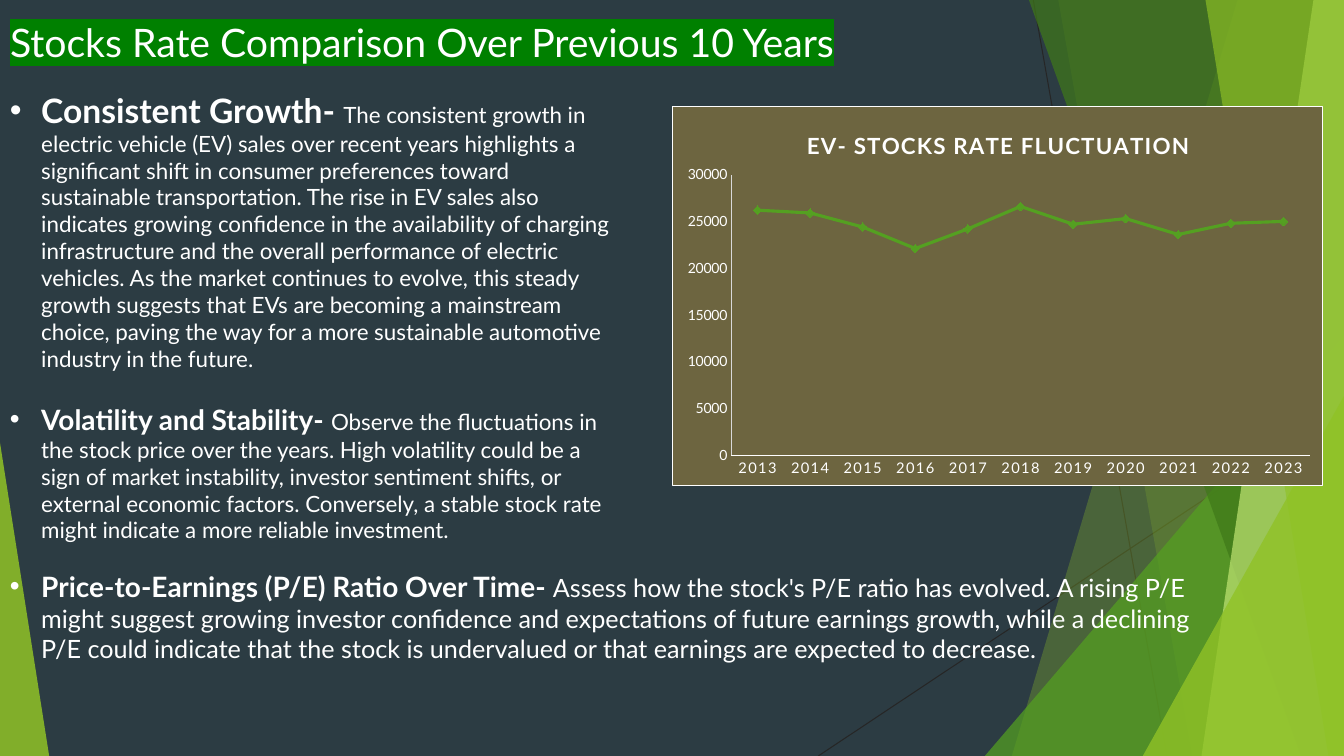
"""Build the slide on electric vehicle stock rates."""
import pptx
import pptx.chart.data
import pptx.dml.color
import pptx.enum.chart
import pptx.enum.shapes
import pptx.enum.text
import pptx.oxml
import pptx.oxml.ns
import pptx.util

Cm, Pt = pptx.util.Cm, pptx.util.Pt
RGB = pptx.dml.color.RGBColor
WHITE = RGB(0xFF, 0xFF, 0xFF)
NIGHT = RGB(0x2C, 0x3C, 0x43)
INK = RGB(0x26, 0x26, 0x26)
LIME = RGB(0x90, 0xC2, 0x26)
GREEN = RGB(0x54, 0xA0, 0x21)
FOREST = RGB(0x3F, 0x78, 0x19)
PALE = RGB(0xC0, 0xE4, 0x74)
BROWN = RGB(0x6D, 0x65, 0x40)
GREY = RGB(0xD9, 0xD9, 0xD9)
MARK = RGB(0x00, 0x80, 0x00)
WIDE, HIGH = 33.87, 19.05
NAMES = pptx.oxml.ns.nsdecls("a", "c")

GROWTH = (
    "The consistent growth in electric vehicle (EV) sales over recent years highlights a "
    "significant shift in consumer preferences toward sustainable transportation. The rise in "
    "EV sales also indicates growing confidence in the availability of charging infrastructure "
    "and the overall performance of electric vehicles. As the market continues to evolve, this "
    "steady growth suggests that EVs are becoming a mainstream choice, paving the way for a more "
    "sustainable automotive industry in the future.")
SWINGS = (
    "Observe the fluctuations in the stock price over the years. High volatility could be a sign "
    "of market instability, investor sentiment shifts, or external economic factors. Conversely, "
    "a stable stock rate might indicate a more reliable investment.")
RATIO = (
    "Assess how the stock's P/E ratio has evolved. A rising P/E might suggest growing investor "
    "confidence and expectations of future earnings growth, while a declining P/E could indicate "
    "that the stock is undervalued or that earnings are expected to decrease.")
RATES = (26200, 25900, 24400, 22100, 24200, 26600, 24700, 25300, 23600, 24800, 25000)


def node(tag, attrs="", body=""):
    """Make an XML element."""
    return pptx.oxml.parse_xml(f"<{tag} {NAMES} {attrs}>{body}</{tag}>")


def apply(item, **values):
    """Set each named attribute on an item."""
    for name, value in values.items():
        setattr(item, name, value)


def place(parent, index, **parts):
    """Give a chart part a fixed place, in shares of the chart."""
    for old in parent.findall(pptx.oxml.ns.qn("c:layout")):
        parent.remove(old)
    body = '<c:layoutTarget val="inner"/>' if "w" in parts else ""
    body += '<c:xMode val="edge"/><c:yMode val="edge"/>'
    body += "".join(f'<c:{k} val="{v}"/>' for k, v in parts.items())
    parent.insert(index, node("c:layout", "", f"<c:manualLayout>{body}</c:manualLayout>"))


class Deck:
    """Hold the style and the current slide."""

    def __init__(self, face):
        """Open a blank title-only slide."""
        self.face = face
        self.show = pptx.Presentation()
        apply(self.show, slide_width=Cm(WIDE), slide_height=Cm(HIGH))
        self.slide = self.show.slides.add_slide(self.show.slide_layouts[5])
        self.slide.background.fill.solid()
        self.slide.background.fill.fore_color.rgb = NIGHT
        self.shapes = self.slide.shapes

    def style(self, font, size, bold=False):
        """Format a font in the deck's face."""
        font.color.rgb = WHITE
        apply(font, name=self.face, size=Pt(size), bold=bold)

    def line(self, x1, y1, x2, y2):
        """Draw a thin straight line."""
        kind = pptx.enum.shapes.MSO_CONNECTOR.STRAIGHT
        line = self.shapes.add_connector(kind, Cm(x1), Cm(y1), Cm(x2), Cm(y2))
        line.line.color.rgb = INK
        line.line.width = Pt(0.75)
        line._element.spPr.append(node("a:effectLst"))

    def paint(self, shape, color, alpha):
        """Fill a shape with a see-through colour and no outline."""
        shape.shadow.inherit = False
        shape.line.fill.background()
        shape.fill.solid()
        shape.fill.fore_color.rgb = color
        tint = shape._element.spPr.find(".//" + pptx.oxml.ns.qn("a:srgbClr"))
        tint.append(node("a:alpha", f'val="{alpha * 1000}"'))

    def band(self, top, foot, color, alpha):
        """Draw a slanted band that reaches the right edge."""
        pen = self.shapes.build_freeform(Cm(top), 0)
        spots = ((WIDE, 0), (WIDE, HIGH), (foot, HIGH))
        pen.add_line_segments([(Cm(x), Cm(y)) for x, y in spots])
        self.paint(pen.convert_to_shape(), color, alpha)

    def wedge(self, left, top, width, peak, color, alpha):
        """Draw a triangle that stands on the bottom edge."""
        kind = pptx.enum.shapes.MSO_SHAPE.ISOSCELES_TRIANGLE
        shape = self.shapes.add_shape(kind, Cm(left), Cm(top), Cm(width), Cm(HIGH - top))
        shape.adjustments[0] = peak
        self.paint(shape, color, alpha)

    def title(self, text, left, top, width, height):
        """Place the highlighted title."""
        head = self.shapes.title
        apply(head, left=Cm(left), top=Cm(top), width=Cm(width), height=Cm(height))
        apply(head.text_frame, word_wrap=True, auto_size=pptx.enum.text.MSO_AUTO_SIZE.NONE,
              vertical_anchor=pptx.enum.text.MSO_ANCHOR.TOP)
        para = head.text_frame.paragraphs[0]
        para.alignment = pptx.enum.text.PP_ALIGN.LEFT
        run = para.add_run()
        run.text = text
        self.style(run.font, 28)
        fill = run._r.rPr.find(pptx.oxml.ns.qn("a:solidFill"))
        fill.addnext(node("a:highlight", "", f'<a:srgbClr val="{MARK}"/>'))

    def points(self, left, top, width, height, items):
        """Write bulleted points, each with a bold lead."""
        box = self.shapes.add_textbox(Cm(left), Cm(top), Cm(width), Cm(height))
        frame = box.text_frame
        apply(frame, word_wrap=True, auto_size=pptx.enum.text.MSO_AUTO_SIZE.SHAPE_TO_FIT_TEXT)
        for i, (lead, big, text, size) in enumerate(items):
            para = frame.add_paragraph() if i else frame.paragraphs[0]
            para.space_before = Pt(22 if i else 0)
            props = para._p.get_or_add_pPr()
            for name, value in {"marL": Cm(0.79), "indent": -Cm(0.79)}.items():
                props.set(name, str(value))
            props.append(node("a:buFont", 'typeface="Arial"'))
            props.append(node("a:buChar", 'char="•"'))
            for words, points, bold in ((lead + " ", big, True), (text, size, False)):
                run = para.add_run()
                run.text = words
                self.style(run.font, points, bold)

    def chart(self, left, top, width, height, title, years, rates):
        """Plot the yearly rates as a marked line."""
        enum = pptx.enum.chart
        data = pptx.chart.data.CategoryChartData()
        data.categories = [str(year) for year in years]
        data.add_series("Series 1", rates)
        chart = self.shapes.add_chart(enum.XL_CHART_TYPE.LINE_MARKERS, Cm(left), Cm(top),
                                      Cm(width), Cm(height), data).chart
        apply(chart, has_legend=False, has_title=True)
        self.style(chart.font, 10)
        run = chart.chart_title.text_frame.paragraphs[0].add_run()
        run.text = title
        self.style(run.font, 16, True)
        run._r.rPr.set("spc", "100")
        for axis, size, color in ((chart.category_axis, 10.5, WHITE),
                                  (chart.value_axis, 10, GREY)):
            apply(axis, has_major_gridlines=False, major_tick_mark=enum.XL_TICK_MARK.NONE,
                  minor_tick_mark=enum.XL_TICK_MARK.NONE)
            self.style(axis.tick_labels.font, size)
            axis.format.line.color.rgb = color
            axis.format.line.width = Pt(0.75)
        for font in chart.category_axis._element.iter(pptx.oxml.ns.qn("a:defRPr")):
            font.set("spc", "100")
        apply(chart.value_axis, minimum_scale=0, maximum_scale=30000, major_unit=5000)
        plot = chart.plots[0]
        plot.vary_by_categories = False
        line = plot.series[0]
        line.smooth = False
        line.format.line.color.rgb = GREEN
        line.format.line.width = Pt(2.25)
        apply(line.marker, style=enum.XL_MARKER_STYLE.DIAMOND, size=6)
        line.marker.format.fill.solid()
        line.marker.format.fill.fore_color.rgb = LIME
        line.marker.format.line.color.rgb = GREEN
        body = chart._chartSpace.chart
        place(body.plotArea, 0, x=0.09, y=0.18, w=0.89, h=0.74)
        place(chart.chart_title._element, 1, x=0.2, y=0.05)
        fill = '<a:solidFill><a:srgbClr val="{}"/></a:solidFill>'
        edge = f'<a:ln w="{Pt(0.75)}">{fill.format(WHITE)}</a:ln>'
        body.addnext(node("c:spPr", "", fill.format(BROWN) + edge))


def main():
    """Build and save the slide."""
    deck = Deck("Lato")
    deck.line(26.04, 0, 29.41, HIGH)
    deck.line(WIDE, 10.24, 20.62, HIGH)
    deck.band(31.19, 25.5, LIME, 30)
    deck.band(26.67, 30.05, LIME, 20)
    deck.wedge(24.82, 8.46, 9.05, 1, GREEN, 72)
    deck.band(25.93, 32.79, FOREST, 70)
    deck.band(33.1, 30.28, PALE, 70)
    deck.band(30.38, 33.48, LIME, 65)
    deck.wedge(28.8, 9.98, 5.07, 1, LIME, 80)
    deck.wedge(0, 11.15, 1.24, 0, LIME, 85)
    deck.title("Stocks Rate Comparison Over Previous 10 Years", 0, 0.33, 27.74, 1.45)
    deck.points(0, 2.13, 15.9, 13.16, (("Consistent Growth-", 24, GROWTH, 16),
                                       ("Volatility and Stability-", 20, SWINGS, 16)))
    deck.points(0, 14.22, 30.28, 3.43,
                (("Price-to-Earnings (P/E) Ratio Over Time-", 20, RATIO, 18),))
    deck.chart(16.94, 2.67, 16.41, 9.58, "EV- STOCKS RATE FLUCTUATION", range(2013, 2024), RATES)
    deck.show.save("out.pptx")


if __name__ == "__main__":
    main()
